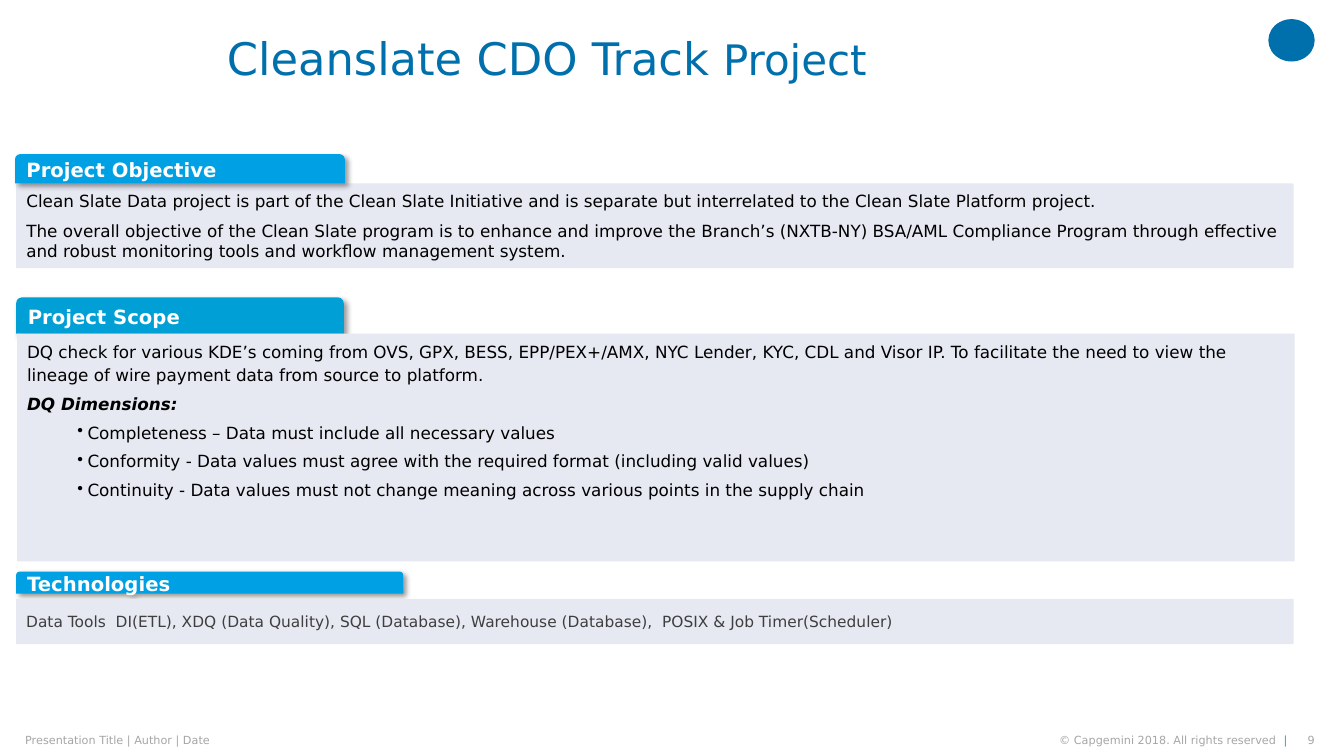
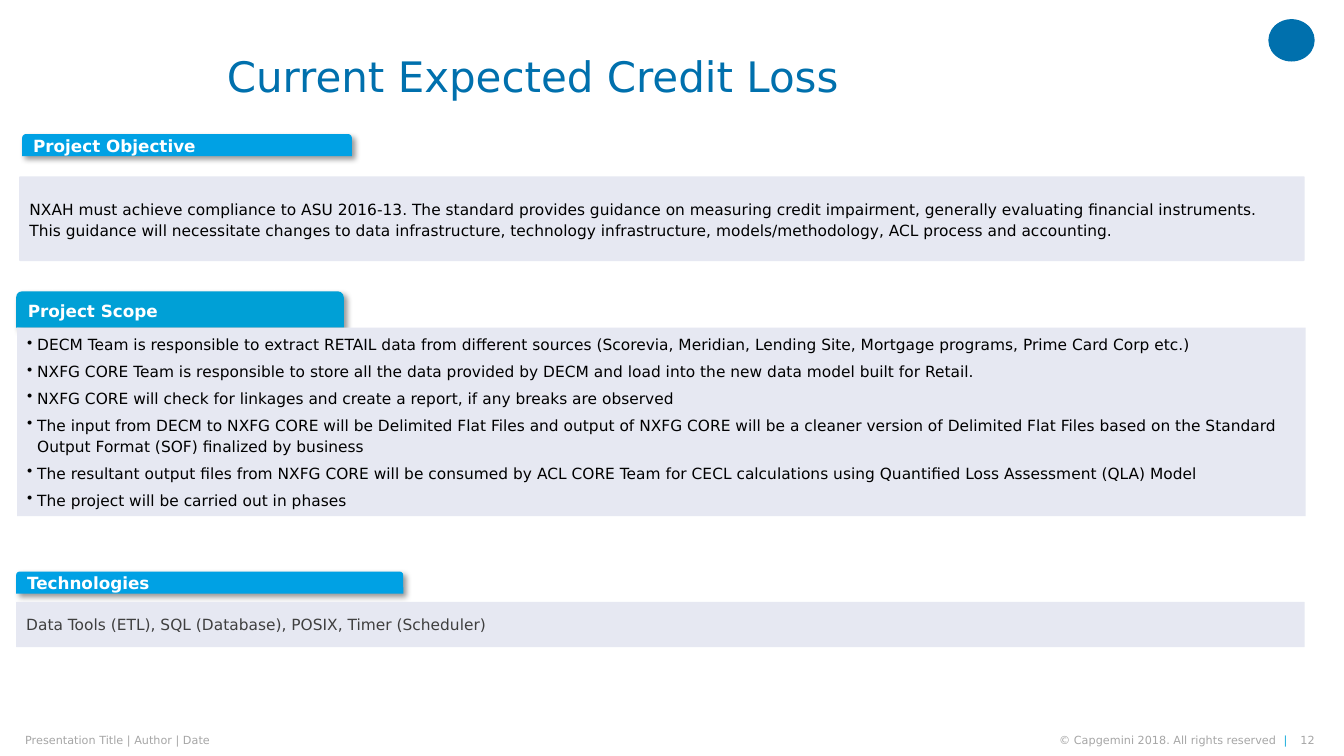
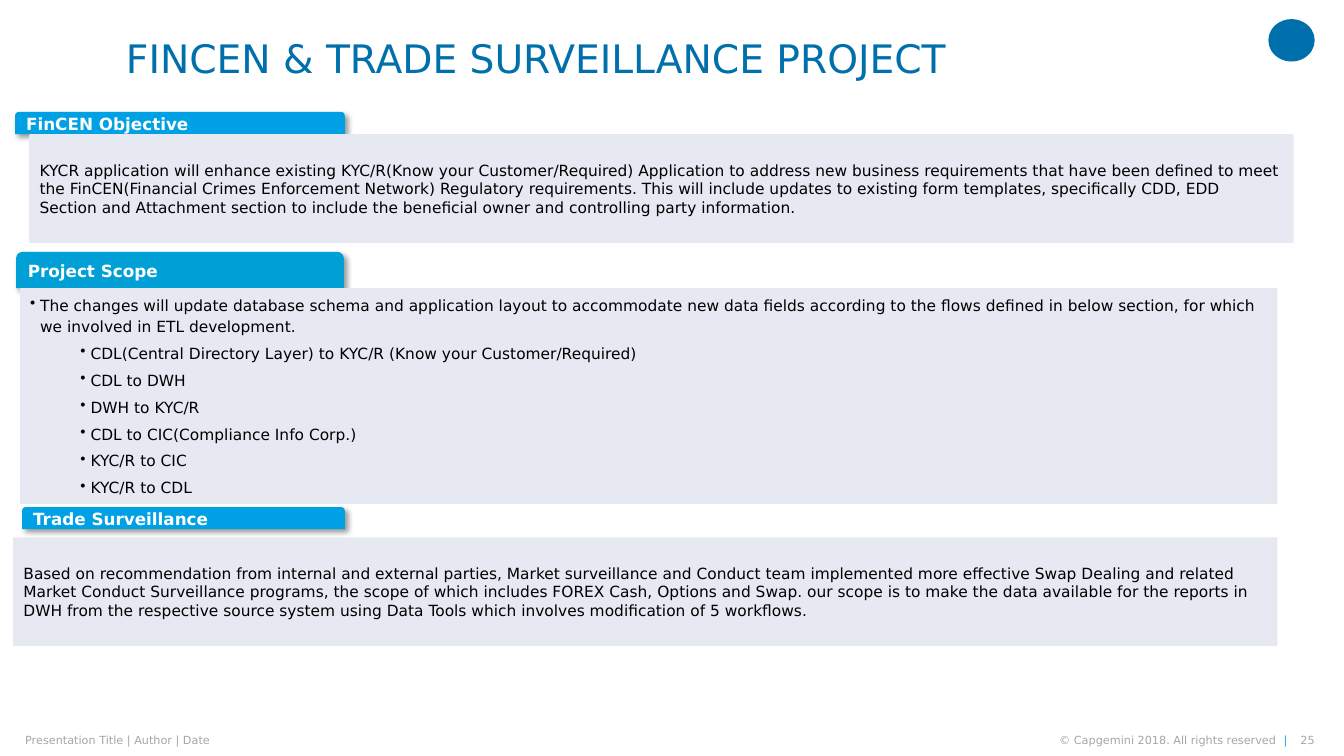
from dataclasses import dataclass
from typing import Union

from lxml.etree import SubElement
from pptx import Presentation
from pptx.dml.color import RGBColor as Color
from pptx.enum.shapes import MSO_SHAPE as Shape
from pptx.enum.text import MSO_ANCHOR as Anchor, PP_ALIGN as Align
from pptx.oxml.ns import qn
from pptx.util import Inches, Pt

FONT = "DejaVu Sans"
BLUE = Color(0x00, 0x70, 0xAD)
AQUA = Color(0x12, 0xAB, 0xDB)
SKY = Color(0x00, 0xA1, 0xE4)
TEAL = Color(0x00, 0xA0, 0xD6)
PALE = Color(0xE6, 0xE8, 0xF2)
WHITE = Color(0xFF, 0xFF, 0xFF)
BLACK = Color(0x00, 0x00, 0x00)
DARK = Color(0x3F, 0x3F, 0x3F)
GREY = Color(0xA6, 0xA6, 0xA6)


@dataclass(frozen=True)
class Box:
    left: float
    top: float
    width: float
    height: float


@dataclass(frozen=True)
class Line:
    text: str
    level: int = 0
    strong: bool = False


@dataclass(frozen=True)
class Tab:
    box: Box
    text: str
    size: int = 12
    fill: Color = SKY


@dataclass(frozen=True)
class Panel:
    box: Box
    lines: tuple[Line, ...]
    size: int = 11
    ink: Color = BLACK
    loose: bool = False
    list_like: bool = False


@dataclass(frozen=True)
class Part:
    text: str
    size: int
    ink: Color = BLUE


@dataclass(frozen=True)
class Page:
    number: int
    title: tuple[Part, ...]
    place: Box
    items: tuple[Union[Tab, Panel], ...]


def style(run, size: int, ink: Color, bold: bool = False, slant: bool = False) -> None:
    font = run.font
    font.name, font.size = FONT, Pt(size)
    font.bold, font.italic = bold, slant
    font.color.rgb = ink


def spot(box: Box) -> tuple:
    return Inches(box.left), Inches(box.top), Inches(box.width), Inches(box.height)


def add_text(slide, box: Box, parts: tuple[Part, ...], align: Align = Align.LEFT,
             wrap: bool = True, space: float = 1.0) -> None:
    frame = slide.shapes.add_textbox(*spot(box)).text_frame
    frame.word_wrap = wrap
    frame.vertical_anchor = Anchor.MIDDLE
    frame.margin_left = frame.margin_right = frame.margin_top = frame.margin_bottom = 0
    frame.text = parts[0].text
    para = frame.paragraphs[0]
    para.alignment, para.line_spacing = align, space
    for part in parts[1:]:
        para.add_run().text = part.text
    for run, part in zip(para.runs, parts):
        style(run, part.size, part.ink)


def add_block(slide, kind: Shape, box: Box, fill: Color):
    block = slide.shapes.add_shape(kind, *spot(box))
    block.shadow.inherit = False
    block.fill.solid()
    block.fill.fore_color.rgb = fill
    block.line.fill.background()
    block.text_frame.word_wrap = True
    block.text_frame.vertical_anchor = Anchor.MIDDLE
    return block


def add_shade(block) -> None:
    effects = block._element.spPr.find(qn("a:effectLst"))
    shade = SubElement(effects, qn("a:outerShdw"), blurRad=str(Pt(4)), dist=str(Pt(3)),
                       dir="2700000", algn="tl", rotWithShape="0")
    tint = SubElement(shade, qn("a:srgbClr"), val=str(BLACK))
    SubElement(tint, qn("a:alpha"), val="40000")


def add_bullet(para, level: int) -> None:
    props = para._p.get_or_add_pPr()
    props.set("marL", str(Inches(0.1 + 0.5 * (level - 1))))
    props.set("indent", str(Inches(-0.1)))
    SubElement(props, qn("a:buChar"), char="•")


def draw_tab(slide, tab: Tab) -> None:
    block = add_block(slide, Shape.ROUND_2_SAME_RECTANGLE, tab.box, tab.fill)
    add_shade(block)
    block.text_frame.text = tab.text
    para = block.text_frame.paragraphs[0]
    para.alignment = Align.LEFT
    style(para.runs[0], tab.size, WHITE, bold=True)


def draw_panel(slide, panel: Panel) -> None:
    kind = Shape.RECTANGLE if panel.list_like else Shape.ROUNDED_RECTANGLE
    block = add_block(slide, kind, panel.box, PALE)
    if not panel.list_like:
        block.adjustments[0] = 0.014
    frame = block.text_frame
    if panel.list_like:
        frame.vertical_anchor = Anchor.TOP
    frame.text = "\n".join(line.text for line in panel.lines)
    gap = Pt(2 if panel.loose else 3.6)
    last = len(panel.lines) - 1
    for i, (para, line) in enumerate(zip(frame.paragraphs, panel.lines)):
        if line.level:
            add_bullet(para, line.level)
        para.alignment = Align.LEFT
        para.line_spacing = 1.15 if panel.loose else 1.0
        para.space_before = gap if i else 0
        para.space_after = gap if i < last else 0
        style(para.runs[0], panel.size, panel.ink, line.strong, line.strong)


def draw_frame(slide, number: int) -> None:
    add_block(slide, Shape.OVAL, Box(12.58, 0.19, 0.46, 0.42), BLUE)
    add_text(slide, Box(12.85, 7.27, 0.19, 0.14), (Part(str(number), 8, GREY),),
             Align.RIGHT, wrap=False)
    rights = (Part("© Capgemini 2018. All rights reserved  ", 8, GREY), Part("|", 8, AQUA))
    add_text(slide, Box(9.86, 7.27, 2.91, 0.14), rights, Align.RIGHT)
    add_text(slide, Box(0.25, 7.27, 5.16, 0.14),
             (Part("Presentation Title | Author | Date", 8, GREY),))


def draw_page(deck, page: Page) -> None:
    slide = deck.slides.add_slide(deck.slide_layouts[6])
    draw_frame(slide, page.number)
    add_text(slide, page.place, page.title, space=0.9)
    for item in page.items:
        if isinstance(item, Tab):
            draw_tab(slide, item)
        else:
            draw_panel(slide, item)


CLEAN = Page(
    9,
    (Part("Cleanslate CDO Track", 32), Part(" Project", 30)),
    Box(2.25, 0, 10.17, 1.21),
    (
        Panel(Box(0.16, 1.82, 12.67, 0.84), (
            Line("Clean Slate Data project is part of the Clean Slate Initiative and is "
                 "separate but interrelated to the Clean Slate Platform project."),
            Line("The overall objective of the Clean Slate program is to enhance and improve "
                 "the Branch’s (NXTB-NY) BSA/AML Compliance Program through effective and "
                 "robust monitoring tools and workflow management system."),
        ), size=12),
        Tab(Box(0.15, 1.53, 3.27, 0.29), "Project Objective", 14),
        Tab(Box(0.16, 2.95, 3.25, 0.36), "Project Scope", 14, TEAL),
        Panel(Box(0.17, 3.31, 12.67, 2.26), (
            Line("DQ check for various KDE’s coming from OVS, GPX, BESS, EPP/PEX+/AMX, "
                 "NYC Lender, KYC, CDL and Visor IP. To facilitate the need to view the "
                 "lineage of wire payment data from source to platform."),
            Line("DQ Dimensions:", strong=True),
            Line("Completeness – Data must include all necessary values", 2),
            Line("Conformity - Data values must agree with the required format "
                 "(including valid values)", 2),
            Line("Continuity - Data values must not change meaning across various points "
                 "in the supply chain", 2),
        ), size=12, loose=True, list_like=True),
        Tab(Box(0.16, 5.67, 3.84, 0.22), "Technologies", 14),
        Panel(Box(0.16, 5.94, 12.67, 0.45), (
            Line("Data Tools  DI(ETL), XDQ (Data Quality), SQL (Database), Warehouse "
                 "(Database),  POSIX & Job Timer(Scheduler)"),
        ), ink=DARK),
    ),
)

CREDIT = Page(
    12,
    (Part("Current Expected Credit Loss", 30),),
    Box(2.25, 0.39, 10.17, 0.78),
    (
        Tab(Box(0.22, 1.33, 3.27, 0.22), "Project Objective"),
        Tab(Box(0.16, 2.89, 3.25, 0.36), "Project Scope", fill=TEAL),
        Panel(Box(0.17, 3.25, 12.78, 1.87), (
            Line("DECM Team is responsible to extract RETAIL data from different sources "
                 "(Scorevia, Meridian, Lending Site, Mortgage programs, Prime Card Corp "
                 "etc.)", 1),
            Line("NXFG CORE Team is responsible to store all the data provided by DECM and "
                 "load into the new data model built for Retail.", 1),
            Line("NXFG CORE will check for linkages and create a report, if any breaks are "
                 "observed", 1),
            Line("The input from DECM to NXFG CORE will be Delimited Flat Files and output "
                 "of NXFG CORE will be a cleaner version of Delimited Flat Files based on "
                 "the Standard Output Format (SOF) finalized by business", 1),
            Line("The resultant output files from NXFG CORE will be consumed by ACL CORE "
                 "Team for CECL calculations using Quantified Loss Assessment (QLA) "
                 "Model", 1),
            Line("The project will be carried out in phases", 1),
        ), loose=True, list_like=True),
        Tab(Box(0.16, 5.67, 3.84, 0.22), "Technologies"),
        Panel(Box(0.16, 5.97, 12.78, 0.45), (
            Line("Data Tools (ETL), SQL (Database), POSIX, Timer (Scheduler)"),
        ), ink=DARK),
        Panel(Box(0.19, 1.75, 12.75, 0.84), (
            Line("NXAH must achieve compliance to ASU 2016-13. The standard provides "
                 "guidance on measuring credit impairment, generally evaluating financial "
                 "instruments. This guidance will necessitate changes to data "
                 "infrastructure, technology infrastructure, models/methodology, ACL "
                 "process and accounting."),
        ), loose=True),
    ),
)

TRADE = Page(
    25,
    (Part("FINCEN & TRADE SURVEILLANCE PROJECT", 28),),
    Box(1.25, 0, 11.17, 1.21),
    (
        Tab(Box(0.15, 1.11, 3.27, 0.22), "FinCEN Objective"),
        Tab(Box(0.16, 2.5, 3.25, 0.36), "Project Scope", fill=TEAL),
        Panel(Box(0.2, 2.86, 12.47, 2.14), (
            Line("The changes will update database schema and application layout to "
                 "accommodate new data fields according to the flows defined in below "
                 "section, for which we involved in ETL development.", 1),
            Line("CDL(Central Directory Layer) to KYC/R (Know your Customer/Required)", 2),
            Line("CDL to DWH", 2),
            Line("DWH to KYC/R", 2),
            Line("CDL to CIC(Compliance Info Corp.)", 2),
            Line("KYC/R to CIC", 2),
            Line("KYC/R to CDL", 2),
        ), loose=True, list_like=True),
        Tab(Box(0.22, 5.03, 3.2, 0.22), "Trade Surveillance"),
        Panel(Box(0.13, 5.33, 12.54, 1.08), (
            Line("Based on recommendation from internal and external parties, Market "
                 "surveillance and Conduct team implemented more effective Swap Dealing and "
                 "related Market Conduct Surveillance programs, the scope of which includes "
                 "FOREX Cash, Options and Swap. our scope is to make the data available for "
                 "the reports in DWH from the respective source system using Data Tools "
                 "which involves modification of 5 workflows."),
        )),
        Panel(Box(0.29, 1.33, 12.54, 1.08), (
            Line("KYCR application will enhance existing KYC/R(Know your Customer/Required) "
                 "Application to address new business requirements that have been defined "
                 "to meet the FinCEN(Financial Crimes Enforcement Network) Regulatory "
                 "requirements. This will include updates to existing form templates, "
                 "specifically CDD, EDD Section and Attachment section to include the "
                 "beneficial owner and controlling party information."),
        )),
    ),
)


def main() -> None:
    deck = Presentation()
    deck.slide_width, deck.slide_height = Inches(13.33), Inches(7.5)
    for page in (CLEAN, CREDIT, TRADE):
        draw_page(deck, page)
    deck.save("out.pptx")


if __name__ == "__main__":
    main()
